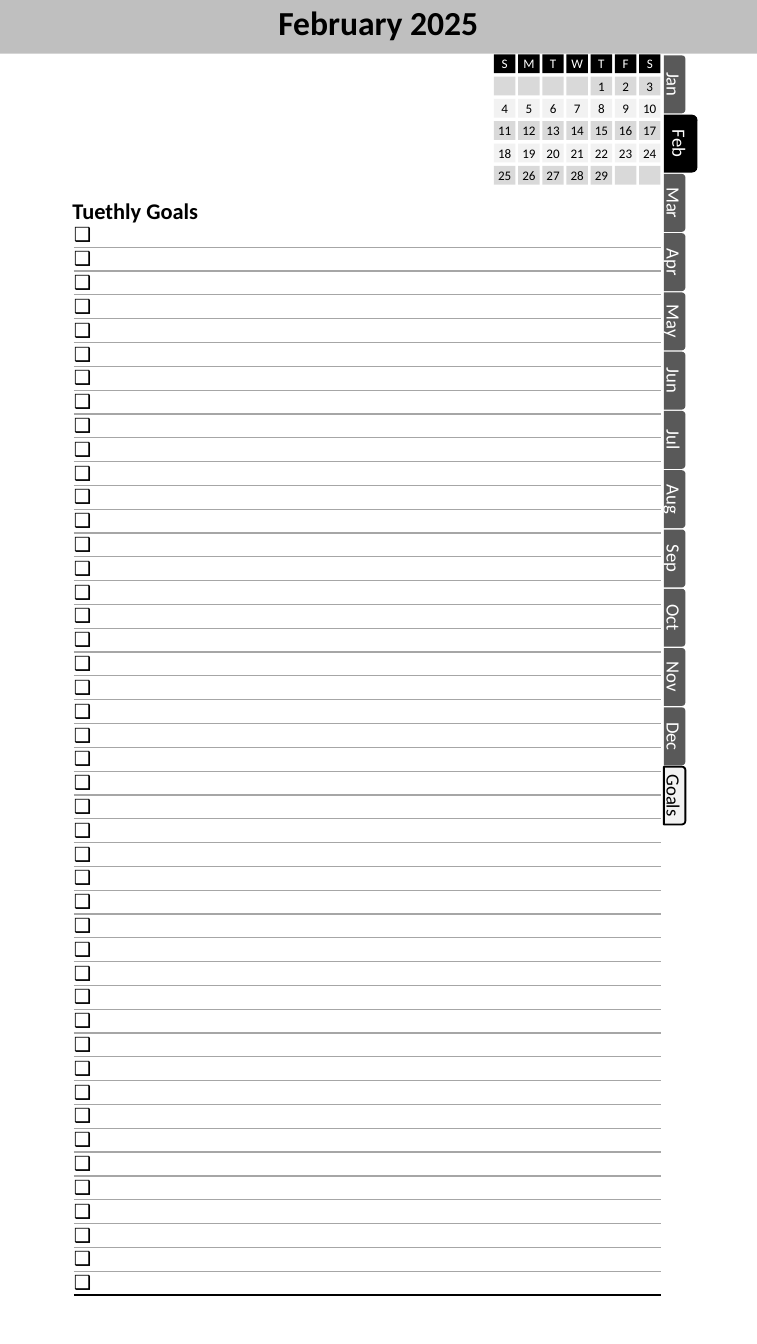
"""Builds a monthly goals planner page with a small calendar and month tabs."""
from dataclasses import dataclass

import lxml.etree
import pptx
import pptx.dml.color
import pptx.enum.shapes
import pptx.enum.text
import pptx.oxml.ns
import pptx.util

Pt = pptx.util.Pt
RGBColor = pptx.dml.color.RGBColor
Shape = pptx.enum.shapes.MSO_SHAPE
Anchor = pptx.enum.text.MSO_ANCHOR
Align = pptx.enum.text.PP_ALIGN
qn = pptx.oxml.ns.qn

BLACK = RGBColor(0x00, 0x00, 0x00)
WHITE = RGBColor(0xFF, 0xFF, 0xFF)
BANNER_GRAY = RGBColor(0xBF, 0xBF, 0xBF)
TAB_GRAY = RGBColor(0x59, 0x59, 0x59)
RULE_GRAY = RGBColor(0xA6, 0xA6, 0xA6)
MID_GRAY = RGBColor(0xD9, 0xD9, 0xD9)
PALE_GRAY = RGBColor(0xF2, 0xF2, 0xF2)

PAGE_WIDTH, PAGE_HEIGHT = 405.36, 720
BANNER_HEIGHT = 28.8
TAB_LEFT, TAB_LENGTH, TAB_PITCH, FIRST_TAB_CENTER = 355.5, 31, 31.75, 45.2
DAY_LEFT, DAY_TOP, DAY_COLUMN, DAY_ROW = 264.5, 29.1, 12.95, 11.95
DAY_WIDTH, DAY_HEIGHT = 11.5, 10.1
GOAL_LEFT, GOAL_TOP, GOAL_WIDTH = 39.6, 119.7, 314.4
GOAL_COUNT, GOAL_HEIGHT, GOAL_INDENT = 45, 12.77, 13
FIRST_WEEKDAY, LAST_DAY, WEEK_COUNT = 4, 29, 5


@dataclass(frozen=True)
class Tab:
    label: str
    depth: float = 11.5
    fill: RGBColor = TAB_GRAY
    ink: RGBColor = WHITE
    outline: RGBColor | None = None


MONTHS = "Jan Feb Mar Apr May Jun Jul Aug Sep Oct Nov Dec".split()
TABS = [Tab(month, 18, BLACK) if month == "Feb" else Tab(month) for month in MONTHS]
TABS.append(Tab("Goals", fill=PALE_GRAY, ink=BLACK, outline=BLACK))


def write(frame, text: str, *, size: float, color: RGBColor = BLACK, bold: bool = False,
          align=Align.CENTER, anchor=Anchor.MIDDLE, margin: float = 0,
          wrap: bool = True, spacing: float | None = None) -> None:
    frame.word_wrap = wrap
    frame.vertical_anchor = anchor
    frame.margin_left = frame.margin_right = Pt(margin)
    frame.margin_top = frame.margin_bottom = Pt(margin / 2)
    paragraph = frame.paragraphs[0]
    paragraph.alignment = align
    if spacing is not None:
        paragraph.line_spacing = spacing
    run = paragraph.add_run()
    run.text = text
    run.font.name = "Calibri"
    run.font.size = Pt(size)
    run.font.bold = bold
    run.font.color.rgb = color


def add_block(shapes, left: float, top: float, width: float, height: float,
              fill: RGBColor, kind=Shape.RECTANGLE, outline: RGBColor | None = None):
    block = shapes.add_shape(kind, Pt(left), Pt(top), Pt(width), Pt(height))
    block.shadow.inherit = False
    block.fill.solid()
    block.fill.fore_color.rgb = fill
    if outline is None:
        block.line.fill.background()
    else:
        block.line.color.rgb = outline
        block.line.width = Pt(1)
    return block


def add_tab(shapes, tab: Tab, center: float) -> None:
    left = TAB_LEFT + (tab.depth - TAB_LENGTH) / 2
    marker = add_block(shapes, left, center - tab.depth / 2, TAB_LENGTH, tab.depth,
                       tab.fill, Shape.ROUND_2_SAME_RECTANGLE, tab.outline)
    marker.rotation = 90
    write(marker.text_frame, tab.label, size=10, color=tab.ink)


def add_calendar(shapes) -> None:
    days = [str(day) if 1 <= day <= LAST_DAY else ""
            for day in range(1 - FIRST_WEEKDAY, 1 - FIRST_WEEKDAY + 7 * WEEK_COUNT)]
    calendar = shapes.add_group_shape()
    for index, label in enumerate([*"SMTWTFS", *days]):
        row, column = divmod(index, 7)
        fill = BLACK if row == 0 else MID_GRAY if row % 2 else PALE_GRAY
        square = add_block(calendar.shapes, DAY_LEFT + column * DAY_COLUMN,
                           DAY_TOP + row * DAY_ROW, DAY_WIDTH, DAY_HEIGHT, fill)
        if label:
            write(square.text_frame, label, size=7, wrap=False,
                  color=BLACK if row else WHITE)


def set_border(cell, position: int, side: str, color: RGBColor | None,
               width: float = 0.75) -> None:
    border = lxml.etree.Element(qn(f"a:{side}"), w=str(int(Pt(width))))
    if color is None:
        lxml.etree.SubElement(border, qn("a:noFill"))
    else:
        paint = lxml.etree.SubElement(border, qn("a:solidFill"))
        lxml.etree.SubElement(paint, qn("a:srgbClr"), val=str(color))
    cell._tc.get_or_add_tcPr().insert(position, border)


def add_checkbox(paragraph) -> None:
    properties = paragraph._p.get_or_add_pPr()
    properties.set("marL", str(int(Pt(GOAL_INDENT))))
    properties.set("indent", str(-int(Pt(GOAL_INDENT))))
    lxml.etree.SubElement(properties, qn("a:buFont"), typeface="Calibri")
    lxml.etree.SubElement(properties, qn("a:buChar"), char="❑")


def add_goals(shapes) -> None:
    goals = shapes.add_table(GOAL_COUNT, 1, Pt(GOAL_LEFT), Pt(GOAL_TOP), Pt(GOAL_WIDTH),
                             Pt(GOAL_COUNT * GOAL_HEIGHT)).table
    goals.first_row = goals.horz_banding = False
    for index, row in enumerate(goals.rows):
        row.height = Pt(GOAL_HEIGHT)
        goal = row.cells[0]
        goal.margin_left = goal.margin_right = goal.margin_top = goal.margin_bottom = 0
        goal.vertical_anchor = Anchor.MIDDLE
        goal.fill.background()
        write(goal.text_frame, " ", size=10.4, align=Align.LEFT)
        add_checkbox(goal.text_frame.paragraphs[0])
        is_last = index == GOAL_COUNT - 1
        set_border(goal, 0, "lnL", None)
        set_border(goal, 1, "lnR", None)
        set_border(goal, 2, "lnT", RULE_GRAY if index else None)
        set_border(goal, 3, "lnB", BLACK if is_last else RULE_GRAY, 1 if is_last else 0.75)


def main() -> None:
    planner = pptx.Presentation()
    planner.slide_width, planner.slide_height = Pt(PAGE_WIDTH), Pt(PAGE_HEIGHT)
    shapes = planner.slides.add_slide(planner.slide_layouts[6]).shapes

    add_block(shapes, 0, 0, PAGE_WIDTH, BANNER_HEIGHT, BANNER_GRAY)
    add_goals(shapes)
    heading = shapes.add_textbox(Pt(31.7), Pt(102.2), Pt(82.8), Pt(21.6))
    write(heading.text_frame, "Tuethly Goals", size=12, bold=True, align=Align.LEFT,
          anchor=Anchor.TOP, margin=7.2, wrap=False)
    month = shapes.add_textbox(Pt(91.4), 0, Pt(222.5), Pt(BANNER_HEIGHT))
    write(month.text_frame, "February 2025", size=18, bold=True, anchor=Anchor.TOP,
          margin=7.2, spacing=0.9)
    for index, tab in enumerate(TABS):
        add_tab(shapes, tab, FIRST_TAB_CENTER + index * TAB_PITCH)
    add_calendar(shapes)
    planner.save("out.pptx")


if __name__ == "__main__":
    main()
